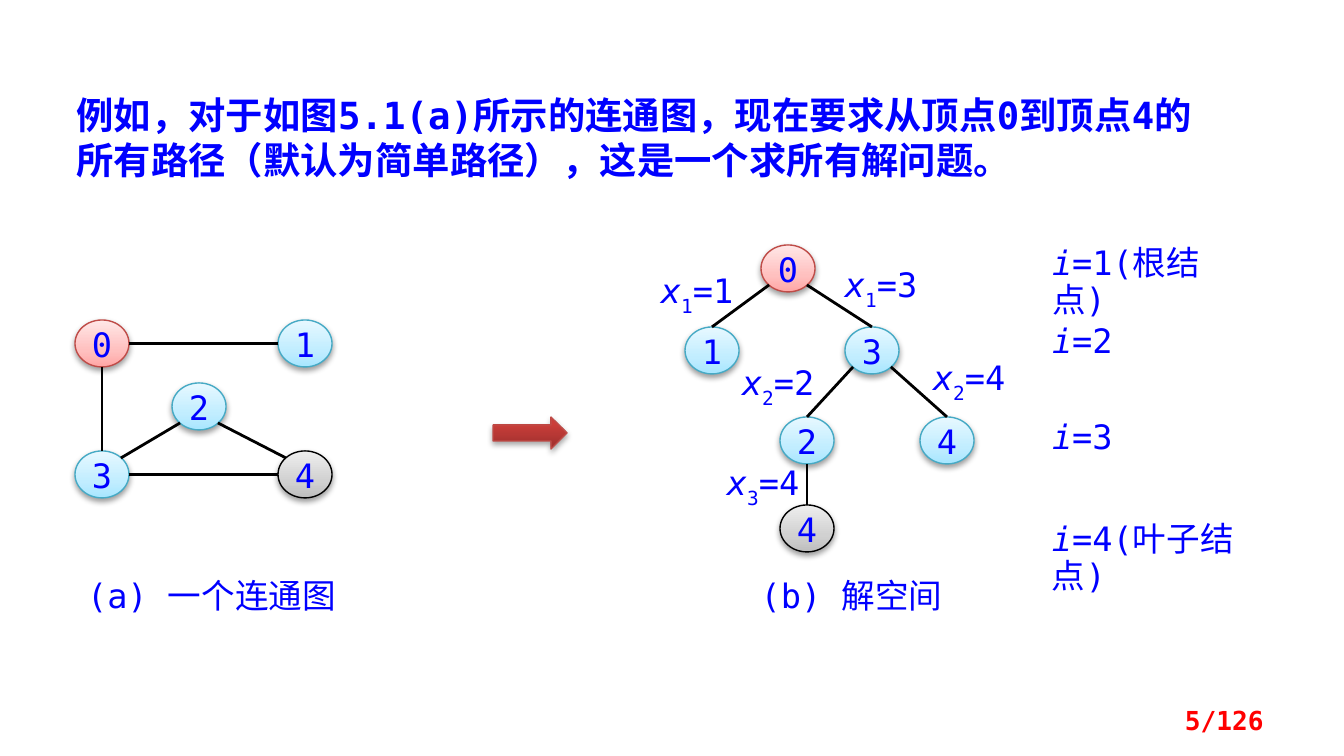
from copy import deepcopy

from lxml.etree import SubElement
from pptx import Presentation
from pptx.dml.color import RGBColor
from pptx.enum.shapes import MSO_CONNECTOR, MSO_SHAPE
from pptx.enum.text import MSO_ANCHOR, PP_ALIGN
from pptx.oxml.ns import qn
from pptx.util import Pt

SCALE = 914400 / 134.4  # EMU in one px
NODE_W, NODE_H = 54, 47
LABEL_W, LABEL_H = 77, 35

RED = (("FFA6A5", "FFC0BF", "FFE7E7"), "BF4C48")
BLUE = (("A7E6FF", "C1EDFF", "E7F8FF"), "46AAC5")
GRAY = (("BDBDBD", "D1D1D1", "EEEEEE"), "000000")
ARROW_RED = (("9C2F2D", "CB3E3A", "CE3B37"), "BF4C48")

# Where an edge meets a node, as shares of the node's width and height
SITES = {"top": (0.5, 0), "left": (0, 0.5), "bottom": (0.5, 1), "right": (1, 0.5),
         "top left": (0.15, 0.15), "top right": (0.85, 0.15),
         "bottom left": (0.15, 0.85), "bottom right": (0.85, 0.85)}


def px(*lengths):
    return [round(length * SCALE) for length in lengths]


def rgb(color):
    return RGBColor.from_string(color)


class Board:
    font = "DejaVu Sans Mono"
    ink = "0000FF"

    def __init__(self, slide):
        self.slide = slide
        self.shapes = slide.shapes

    def start_group(self):
        """Let the elements that follow go into a new group."""
        self.shapes = self.slide.shapes.add_group_shape().shapes

    def end_group(self):
        self.shapes = self.slide.shapes

    def style_font(self, font, size=18, color=ink, bold=False):
        font.name, font.size, font.bold = self.font, Pt(size), bold
        font.color.rgb = rgb(color)

    def set_parts(self, shape, parts, align):
        """Fill a shape with parts: plain, "i" for italic or "sub" for subscript."""
        frame = shape.text_frame
        frame.word_wrap = True
        frame.vertical_anchor = MSO_ANCHOR.TOP
        frame.margin_left = frame.margin_right = 0
        frame.margin_top = frame.margin_bottom = 0
        paragraph = frame.paragraphs[0]
        paragraph.alignment = align
        paragraph.line_spacing = Pt(20)
        for text, kind in parts:
            run = paragraph.add_run()
            run.text = text
            self.style_font(run.font)
            run.font.italic = kind == "i"
            if kind == "sub":
                run.font._element.set("baseline", "-30000")

    def glossy(self, preset, box, look, middle, shadow_alpha):
        """Add a shape with an upward three-stop gradient and a soft shadow."""
        colors, outline = look
        shape = self.shapes.add_shape(preset, *px(*box))
        shape.fill.gradient()
        shape.fill.gradient_angle = 90
        stop_list = shape._element.spPr.find(".//" + qn("a:gsLst"))
        stop_list.insert(1, deepcopy(stop_list[0]))
        for stop, color, position in zip(shape.fill.gradient_stops, colors, (0, middle, 1)):
            stop.color.rgb = rgb(color)
            stop.position = position
        shape.line.color.rgb = rgb(outline)
        shape.line.width = Pt(0.75)
        shape.shadow.inherit = False
        effects = shape._element.spPr.find(qn("a:effectLst"))
        shadow = SubElement(effects, qn("a:outerShdw"), blurRad="40000", dist="20000",
                            dir="5400000", rotWithShape="0")
        black = SubElement(shadow, qn("a:srgbClr"), val="000000")
        SubElement(black, qn("a:alpha"), val=str(shadow_alpha * 1000))
        return shape

    def node(self, name, left, top, look=BLUE):
        oval = self.glossy(MSO_SHAPE.OVAL, (left, top, NODE_W, NODE_H), look, 0.35, 38)
        self.set_parts(oval, [(name, "")], PP_ALIGN.CENTER)
        return oval

    def block_arrow(self, *box):
        self.glossy(MSO_SHAPE.RIGHT_ARROW, box, ARROW_RED, 0.8, 35)

    def edge(self, start, start_site, end, end_site):
        ends = []
        for node, site in ((start, start_site), (end, end_site)):
            across, down = SITES[site]
            ends += [round(node.left + across * node.width),
                     round(node.top + down * node.height)]
        line = self.shapes.add_connector(MSO_CONNECTOR.STRAIGHT, *ends)
        line.line.color.rgb = rgb("000000")
        line.line.width = Pt(1.5)
        SubElement(line._element.spPr, qn("a:effectLst"))
        if end_site == "top":
            line.end_connect(end, 0)

    def label(self, parts, left, top, width=LABEL_W, height=LABEL_H, align=PP_ALIGN.LEFT):
        plate = self.shapes.add_shape(MSO_SHAPE.RECTANGLE, *px(left, top, width, height))
        plate.fill.solid()
        plate.fill.fore_color.rgb = rgb("FFFFFF")
        plate.line.fill.background()
        plate.shadow.inherit = False
        self.set_parts(plate, parts, align)

    def caption(self, text, left, width):
        self.label([(text, "")], left, 578, width, 36, PP_ALIGN.CENTER)

    def text(self, words, box, size, color=ink, align=PP_ALIGN.LEFT, anchor=MSO_ANCHOR.TOP):
        frame = self.shapes.add_textbox(*px(*box)).text_frame
        frame.word_wrap = True
        frame.vertical_anchor = anchor
        frame.text = words
        frame.paragraphs[0].alignment = align
        self.style_font(frame.paragraphs[0].runs[0].font, size, color, bold=True)


def draw_graph(board):
    board.start_group()
    left, right, upper, lower = 75, 278, 320, 451
    v0 = board.node("0", left, upper, RED)
    v1 = board.node("1", right, upper)
    v2 = board.node("2", 172, 383)
    v3 = board.node("3", left, lower)
    v4 = board.node("4", right, lower, GRAY)
    board.edge(v0, "right", v1, "left")
    board.edge(v0, "bottom", v3, "top")
    board.edge(v3, "right", v4, "left")
    board.edge(v3, "top right", v2, "bottom left")
    board.edge(v2, "bottom right", v4, "top left")
    board.caption("(a) 一个连通图", 75, 273)


def draw_tree(board):
    board.start_group()
    choices = [("3", "4", 727, 472), ("2", "2", 742, 372), ("2", "4", 933, 367),
               ("1", "1", 661, 280), ("1", "3", 845, 274)]
    for index, value, left, top in choices:
        board.label([("x", "i"), (index, "sub"), (f"={value}", "")], left, top)
    root = board.node("0", 761, 245, RED)
    dead_end = board.node("1", 685, 327)
    branch = board.node("3", 845, 327)
    via_2 = board.node("2", 780, 417)
    direct_leaf = board.node("4", 920, 417)
    deep_leaf = board.node("4", 780, 505, GRAY)
    for parent, site, child in [(root, "bottom left", dead_end),
                                (root, "bottom right", branch),
                                (branch, "bottom right", direct_leaf),
                                (branch, "bottom left", via_2),
                                (via_2, "bottom", deep_leaf)]:
        board.edge(parent, site, child, "top")
    board.caption("(b) 解空间", 754, 195)
    levels = [("=1(根结点)", 245, 190), ("=2", 323, LABEL_W),
              ("=3", 419, LABEL_W), ("=4(叶子结点)", 521, 218)]
    for level, top, width in levels:
        board.label([("i", "i"), (level, "")], 1052, top, width)


def main():
    deck = Presentation()
    deck.slide_width, deck.slide_height = px(1344, 756)
    board = Board(deck.slides.add_slide(deck.slide_layouts[6]))
    draw_graph(board)
    draw_tree(board)
    board.end_group()
    board.text("例如，对于如图5.1(a)所示的连通图，现在要求从顶点0到顶点4的所有路径"
               "（默认为简单路径），这是一个求所有解问题。", (63, 86, 1154, 103), 20)
    board.block_arrow(493, 417, 74, 32)
    board.text("5/126", (964, 700, 313, 40), 14, "FF0000", PP_ALIGN.RIGHT, MSO_ANCHOR.MIDDLE)
    deck.save("out.pptx")


if __name__ == "__main__":
    main()
